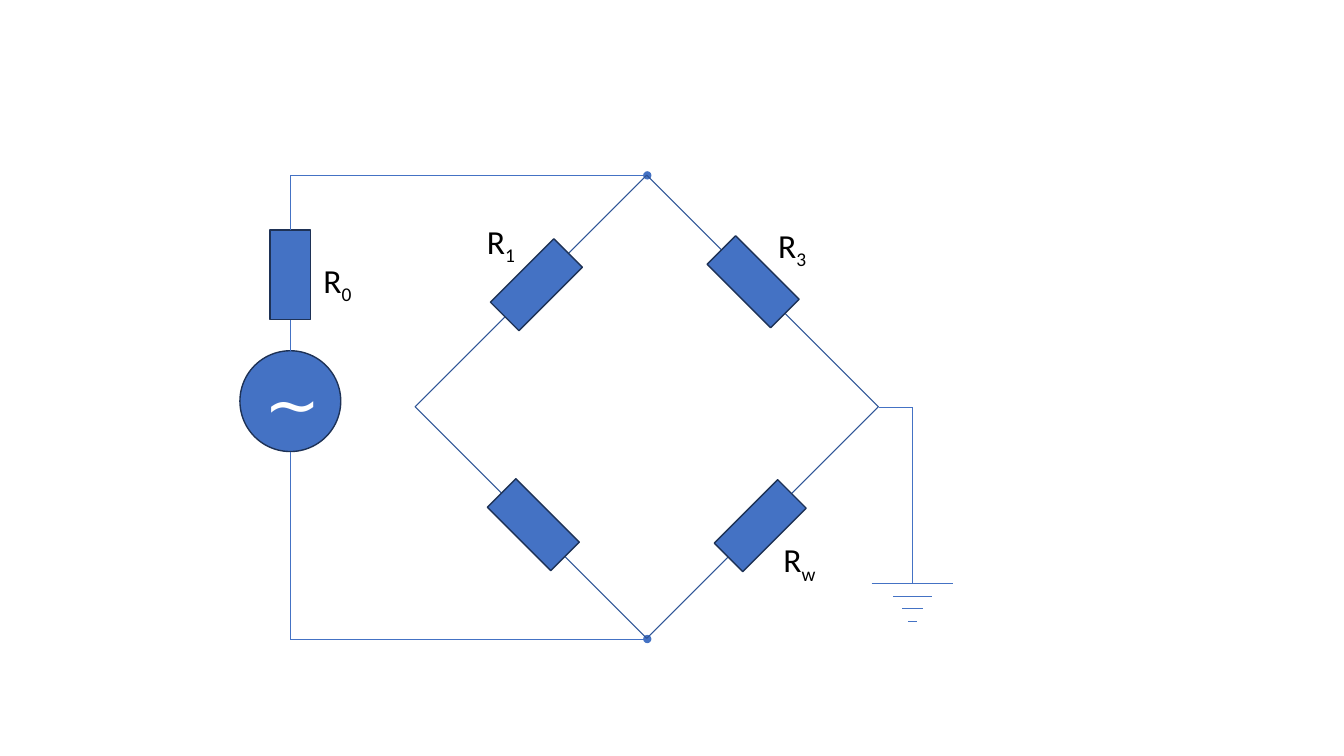
from lxml.etree import SubElement
from pptx import Presentation
from pptx.dml.color import RGBColor
from pptx.enum.shapes import MSO_CONNECTOR, MSO_SHAPE
from pptx.enum.text import MSO_ANCHOR, PP_ALIGN
from pptx.oxml.ns import qn
from pptx.util import Inches, Pt

COLORS = {"blue": "4472C4", "edge": "1E3256", "bridge": "2F5597",
          "white": "FFFFFF", "black": "000000"}
FONT = "Calibri"


def color(name):
    return RGBColor.from_string(COLORS[name])


def write(frame, text, sub="", size=24, fill="black", align=PP_ALIGN.LEFT):
    """Write text, with an optional subscript after it."""
    para = frame.paragraphs[0]
    para.alignment = align
    for part, base in ((text, None), (sub, "-25000")):
        if part:
            run = para.add_run()
            run.text = part
            run.font.name = FONT
            run.font.size = Pt(size)
            run.font.color.rgb = color(fill)
            if base:
                run.font._element.set("baseline", base)


def add_part(slide, kind, box, turn=0, fill="blue", edge="edge", width=1):
    part = slide.shapes.add_shape(kind, *map(Inches, box))
    part.shadow.inherit = False
    part.rotation = turn
    if fill:
        part.fill.solid()
        part.fill.fore_color.rgb = color(fill)
    else:
        part.fill.background()
    part.line.color.rgb = color(edge)
    part.line.width = Pt(width)
    return part


def add_wire(slide, x1, y1, x2, y2, start=None, end=None, dot=False):
    """Draw a wire; start and end are (shape, side) pairs to join."""
    wire = slide.shapes.add_connector(
        MSO_CONNECTOR.STRAIGHT, *map(Inches, (x1, y1, x2, y2)))
    if start:
        wire.begin_connect(*start)
    if end:
        wire.end_connect(*end)
    wire.line.color.rgb = color("blue")
    wire.line.width = Pt(0.5)
    if dot:
        SubElement(wire.line._get_or_add_ln(), qn("a:tailEnd"), type="oval")
    SubElement(wire._element.spPr, qn("a:effectLst"))


def add_label(slide, x, y, sub, width=0.51):
    box = slide.shapes.add_textbox(*map(Inches, (x, y, width, 0.5)))
    box.text_frame.word_wrap = True
    write(box.text_frame, "R", sub)


def add_load(slide, x, y, turn=0):
    return add_part(slide, MSO_SHAPE.RECTANGLE, (x, y, 0.4, 0.89), turn)


def add_supply(slide, x, y, height, reach):
    """Voltage source and series resistor, wired to the bridge."""
    foot = y + height
    source = add_part(slide, MSO_SHAPE.OVAL, (x - 0.5, y + 1.74, 1, 1))
    frame = source.text_frame
    frame.vertical_anchor = MSO_ANCHOR.MIDDLE
    write(frame, "∼", size=48, fill="white", align=PP_ALIGN.CENTER)
    load = add_load(slide, x - 0.2, y + 0.54)
    add_wire(slide, x, y + 1.74, x, y + 1.43, (source, 0), (load, 2))
    add_wire(slide, x, y + 0.54, x, y, start=(load, 0))
    add_wire(slide, x, foot, x, y + 2.74)
    for level in (y, foot):
        add_wire(slide, x, level, x + reach, level, dot=True)
    add_label(slide, x + 0.23, y + 0.79, "0")


def add_bridge(slide, x, y, side):
    """Diamond of wires with a resistor on each side."""
    add_part(slide, MSO_SHAPE.RECTANGLE, (x, y, side, side), 315,
             fill=None, edge="bridge", width=0.75)
    for dx, dy, turn in ((2.48, -0.06, 315), (0.3, 2.35, 315),
                         (0.33, -0.03, 45), (2.55, 2.36, 45)):
        add_load(slide, x + dx, y + dy, turn)
    add_label(slide, x - 0.06, y - 0.27, "1")
    add_label(slide, x + 2.83, y - 0.23, "3")
    add_label(slide, x + 2.88, y + 2.89, "w", 0.58)


def add_ground(slide, x, y, drop):
    """Earth lead with four shrinking bars."""
    stem = x + 0.33
    add_wire(slide, x, y, stem, y)
    add_wire(slide, stem, y, stem, y + drop)
    for row, width in enumerate((0.81, 0.38, 0.2, 0.09)):
        level = y + drop + row * 0.124
        add_wire(slide, stem - width / 2, level, stem + width / 2, level)


def main():
    deck = Presentation()
    deck.slide_width, deck.slide_height = Inches(13.33), Inches(7.5)
    slide = deck.slides.add_slide(deck.slide_layouts[6])
    add_supply(slide, 2.88, 1.74, 4.6, 3.54)
    add_bridge(slide, 4.79, 2.41, 3.25)
    add_ground(slide, 8.72, 4.04, 1.75)
    deck.save("out.pptx")


if __name__ == "__main__":
    main()
